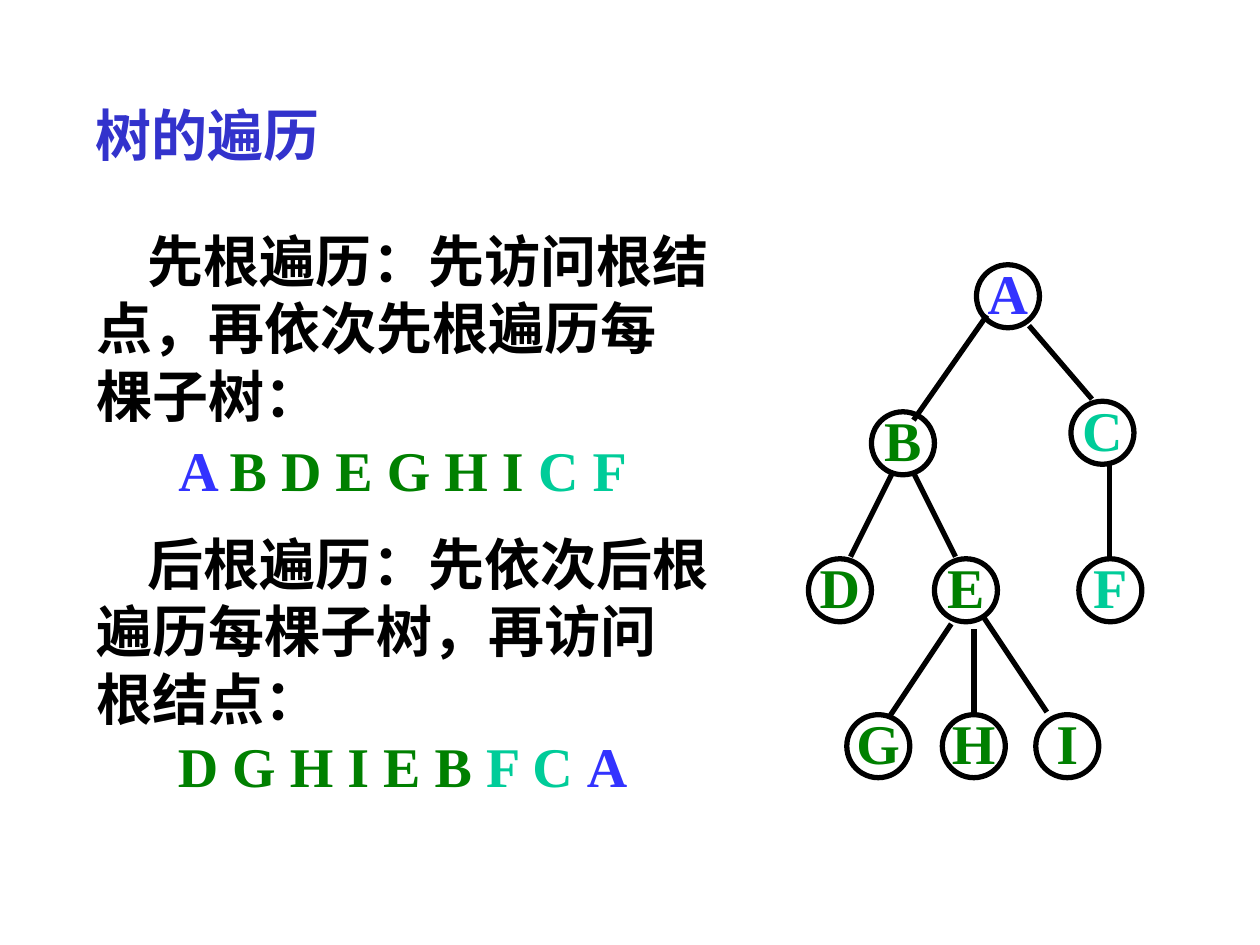
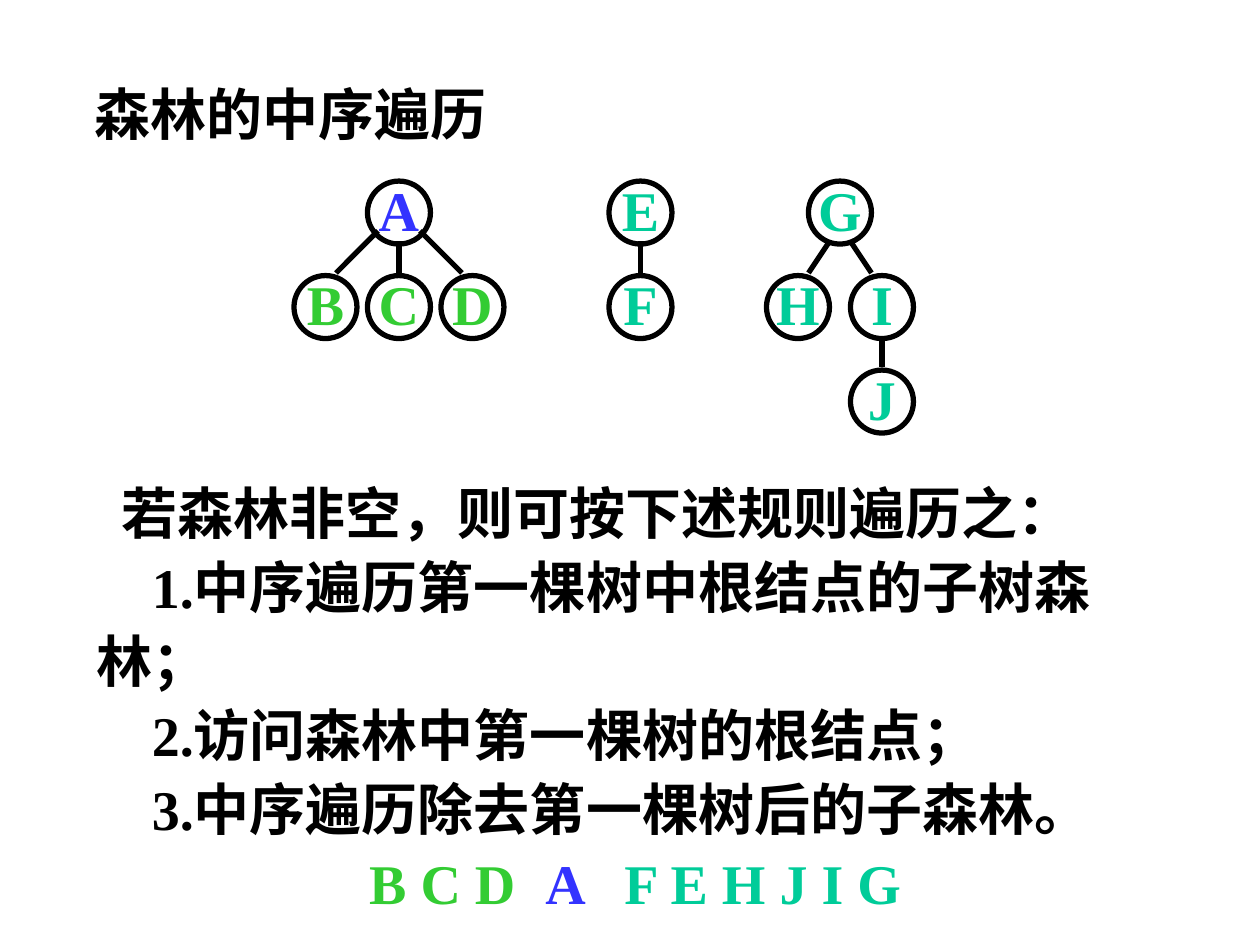
from lxml.etree import SubElement
from pptx import Presentation
from pptx.dml.color import RGBColor
from pptx.enum.shapes import MSO_CONNECTOR, MSO_SHAPE
from pptx.enum.text import MSO_ANCHOR, PP_ALIGN
from pptx.oxml.ns import qn
from pptx.util import Inches, Pt

# Grid: 120 columns by 90 rows of square cells
CELL = Inches(10) / 120
NODE = 6  # circle size in cells

BLACK = RGBColor(0x00, 0x00, 0x00)
NAVY = RGBColor(0x33, 0x33, 0xCC)
BLUE = RGBColor(0x33, 0x33, 0xFF)
GREEN = RGBColor(0x00, 0x80, 0x00)
LIME = RGBColor(0x33, 0xCC, 0x33)
TEAL = RGBColor(0x00, 0xCC, 0x99)

FONT = "Times New Roman"
SIZE = Pt(32)
WIDTH = Pt(3)


def cells(*counts):
    return [round(count * CELL) for count in counts]


def write(para, text, color=BLACK, align=PP_ALIGN.LEFT, lines=1.0,
          before=0, indent=0, track=0):
    """Add a run to a paragraph; text may be a list of (text, format) pairs."""
    para.alignment = align
    para.line_spacing = lines
    para.space_before = Pt(before)
    props = para._p.get_or_add_pPr()
    props.set("hangingPunct", "0")
    if indent:
        props.set("marL", "0")
        props.set("indent", str(Inches(indent)))
    parts = [(text, color, track)] if isinstance(text, str) else text
    for words, tint, gap in parts:
        run = para.add_run()
        run.text = words
        font = run.font
        font.name, font.size, font.bold = FONT, SIZE, True
        font.color.rgb = tint
        font._element.set("kern", "0")
        if gap:
            font._element.set("spc", str(gap * 100))


def add_text(slide, box, paras, wrap=True):
    frame = slide.shapes.add_textbox(*cells(*box)).text_frame
    frame.word_wrap = wrap
    for i, (text, style) in enumerate(paras):
        para = frame.add_paragraph() if i else frame.paragraphs[0]
        write(para, text, **style)


def add_title(slide, box, text, color):
    add_text(slide, box, [(text, {"color": color})])


def add_node(slide, left, top, name, color):
    ring = slide.shapes.add_shape(
        MSO_SHAPE.OVAL, *cells(left, top, NODE, NODE))
    ring.shadow.inherit = False
    ring.fill.background()
    ring.line.color.rgb = BLACK
    ring.line.width = WIDTH
    frame = ring.text_frame
    frame.word_wrap = False
    frame.vertical_anchor = MSO_ANCHOR.MIDDLE
    frame.margin_left = frame.margin_right = frame.margin_top = 0
    frame.margin_bottom = Pt(4.5)
    write(frame.paragraphs[0], name, color=color, align=PP_ALIGN.CENTER)


def add_edge(slide, *ends):
    edge = slide.shapes.add_connector(MSO_CONNECTOR.STRAIGHT, *cells(*ends))
    edge.line.color.rgb = BLACK
    edge.line.width = WIDTH
    SubElement(edge._element.spPr, qn("a:effectLst"))


def add_tree(slide, box, nodes, edges, colors):
    """Draw nodes and edges, both in cells from the corner of the box."""
    left, top = box
    tints = {name: tint for names, tint in colors.items() for name in names}
    for name, (x, y) in nodes.items():
        add_node(slide, left + x, top + y, name, tints[name])
    for x1, y1, x2, y2 in edges:
        add_edge(slide, left + x1, top + y1, left + x2, top + y2)


def tree_slide(slide):
    add_title(slide, (7.9, 9, 40, 7.7), "树的遍历", NAVY)

    # Tree on the right
    low = 42.85
    nodes = {"A": (16, 0), "B": (6, 14), "C": (25, 13),
             "D": (0, 28), "E": (12, 28), "F": (25.75, 28),
             "G": (3.65, low), "H": (12.75, low), "I": (21.65, low)}
    edges = [(17, 4.8, 10, 14.8), (21, 5.8, 27, 12.8),
             (8, 19.8, 4, 27.8), (10, 19.8, 14, 27.8),
             (28.7, 18.8, 28.7, 27.8), (13.6, 34.2, 7.6, 43.2),
             (15.75, 34.7, 15.75, 42.6), (16.7, 33.6, 22.7, 42.6)]
    add_tree(slide, (77, 25.22), nodes, edges,
             {"A": BLUE, "BDEGHI": GREEN, "CF": TEAL})

    # Rules and visiting orders on the left
    mid = {"align": PP_ALIGN.CENTER}
    add_text(slide, (8, 21, 60.7, 55.7), [
        ("先根遍历：先访问根结点，再依次先根遍历每棵子树：", {"indent": 0.41}),
        ([("A ", BLUE, 0), ("B D E G H I ", GREEN, 0), ("C F", TEAL, 0)],
         {**mid, "lines": 1.1}),
        ("后根遍历：先依次后根遍历每棵子树，再访问根结点：",
         {"indent": 0.41, "before": 15.7}),
        ([("D G H I E B ", GREEN, 0), ("F C ", TEAL, 0), ("A", BLUE, 0)],
         mid)])


def forest_slide(slide):
    add_title(slide, (7.8, 7, 50, 7.7), "森林的中序遍历", BLACK)

    # Rules and visiting order
    step = {"indent": 0.44, "lines": 1.1}
    add_text(slide, (8, 45, 105, 35.8), [
        ("若森林非空，则可按下述规则遍历之：", {"indent": 0.2}),
        ("1.中序遍历第一棵树中根结点的子树森林；", step),
        ("2.访问森林中第一棵树的根结点；", step),
        ("3.中序遍历除去第一棵树后的子森林。", step),
        ([("B C D", LIME, 0), (" ", LIME, 9), ("A", BLUE, 0),
          (" ", BLUE, 14), ("F E H J I G", TEAL, 0)],
         {"align": PP_ALIGN.CENTER, "lines": 1.1})])

    # Three trees, with levels nine rows apart
    one, two = 9, 18
    nodes = {"A": (7, 0), "B": (0, one), "C": (7, one), "D": (14, one),
             "E": (30, 0), "F": (30, one),
             "G": (49, 0), "H": (45, one), "I": (53, one), "J": (53, two)}
    start, end = 5.75, 8.75
    edges = [(10, start, 10, end), (8, start - 1, 4, end),
             (12, start - 1, 16, end), (33, start, 33, end),
             (51, start, 49, end), (53, start, 55, end),
             (56, start + one, 56, end + one)]
    add_tree(slide, (28, 17.25), nodes, edges,
             {"A": BLUE, "BCD": LIME, "EFGHIJ": TEAL})


def main():
    deck = Presentation()
    deck.slide_width, deck.slide_height = cells(120, 90)
    blank = deck.slide_layouts[6]
    for build in (tree_slide, forest_slide):
        build(deck.slides.add_slide(blank))
    deck.save("out.pptx")


if __name__ == "__main__":
    main()
